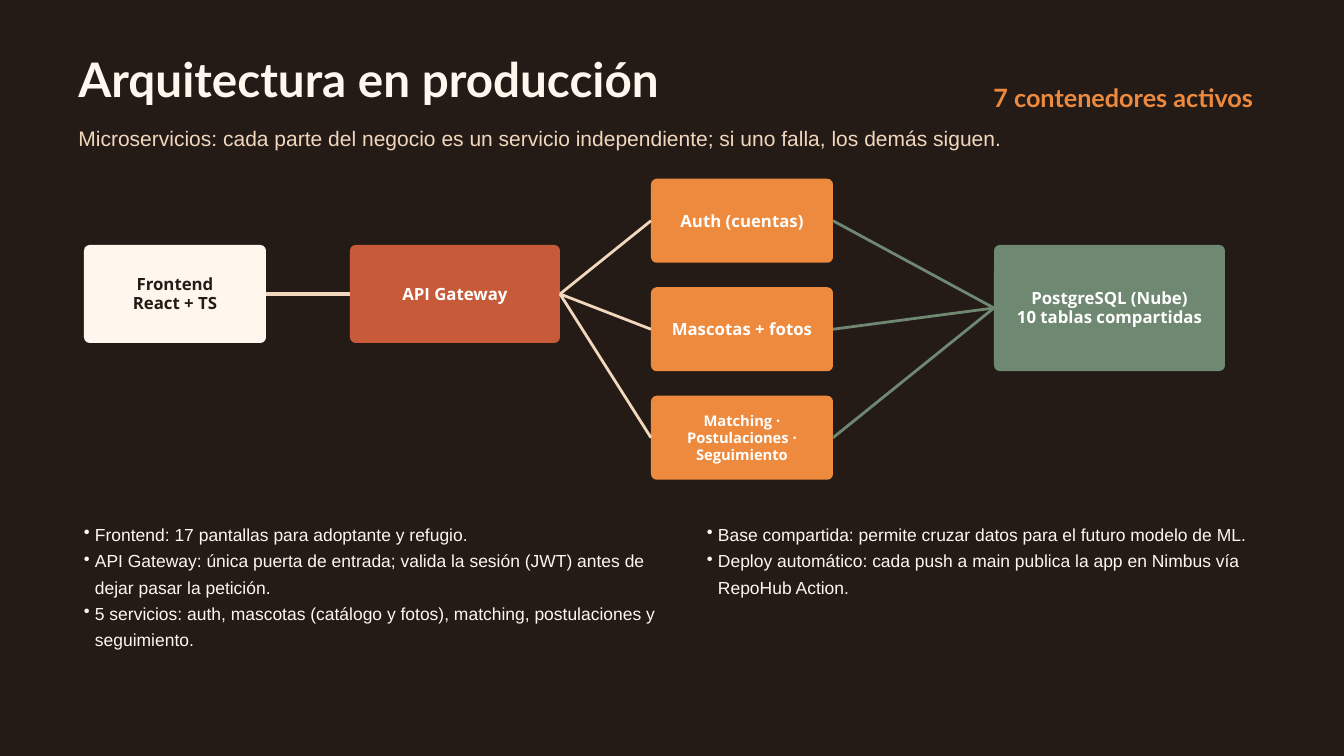
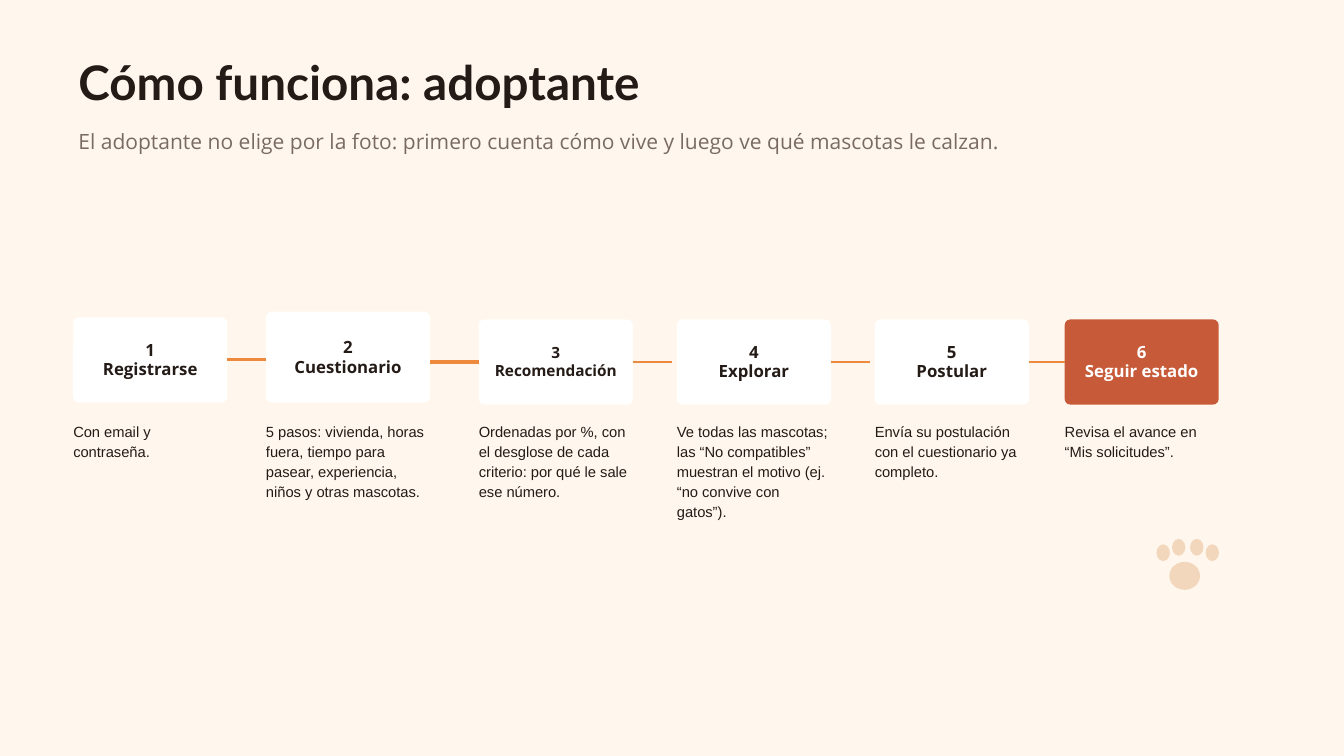
from dataclasses import dataclass

from lxml import etree
from pptx import Presentation
from pptx.dml.color import RGBColor
from pptx.enum import shapes, text
from pptx.oxml import ns
from pptx.util import Pt

ESPRESSO = RGBColor(0x24, 0x1B, 0x17)
CREAM = RGBColor(0xFF, 0xF7, 0xED)
WHITE = RGBColor(0xFF, 0xFF, 0xFF)
ORANGE = RGBColor(0xED, 0x8A, 0x3D)
TERRACOTTA = RGBColor(0xC7, 0x5B, 0x39)
SAGE = RGBColor(0x6F, 0x88, 0x71)
SAND = RGBColor(0xF2, 0xD7, 0xBD)
TAUPE = RGBColor(0x79, 0x6B, 0x63)

HEADING, LABEL, BODY = "Lato", "Open Sans", "Arial"
MARGIN = 84
CORNER = 6
BULLET_INDENT = 11.75


@dataclass(frozen=True)
class Style:
    font: str
    size: float
    color: RGBColor
    leading: float
    bold: bool = False
    align: text.PP_ALIGN = text.PP_ALIGN.LEFT


@dataclass(frozen=True)
class Area:
    left: float
    top: float
    width: float
    height: float

    def points(self):
        return Pt(self.left), Pt(self.top), Pt(self.width), Pt(self.height)


@dataclass(frozen=True)
class Box:
    label: str
    area: Area
    fill: RGBColor
    color: RGBColor = WHITE
    size: float = 18


@dataclass(frozen=True)
class Step:
    name: str
    detail: str
    area: Area
    fill: RGBColor = WHITE
    color: RGBColor = ESPRESSO
    size: float = 18


def add_slide(presentation, background: RGBColor):
    slide = presentation.slides.add_slide(presentation.slide_layouts[6])
    slide.background.fill.solid()
    slide.background.fill.fore_color.rgb = background
    return slide


def add_bullet(paragraph) -> None:
    properties = paragraph._p.get_or_add_pPr()
    properties.set("marL", str(Pt(BULLET_INDENT)))
    properties.set("indent", str(-Pt(BULLET_INDENT)))
    etree.SubElement(properties, ns.qn("a:buChar"), char="•")


def write(frame, content: str, style: Style, inset: float = 0, bullets: bool = False) -> None:
    """Fill a text frame, one paragraph for each line of the content."""
    frame.word_wrap = True
    frame.margin_left = frame.margin_right = Pt(inset)
    frame.margin_top = frame.margin_bottom = Pt(inset)
    frame.text = content
    for paragraph in frame.paragraphs:
        if bullets:
            add_bullet(paragraph)
        paragraph.alignment = style.align
        paragraph.line_spacing = Pt(style.leading)
        for run in paragraph.runs:
            run.font.name = style.font
            run.font.size = Pt(style.size)
            run.font.bold = style.bold
            run.font.color.rgb = style.color


def add_text(slide, area: Area, content: str, style: Style, bullets: bool = False) -> None:
    write(slide.shapes.add_textbox(*area.points()).text_frame, content, style, bullets=bullets)


def add_header(slide, top: float, title: str, title_color: RGBColor, subtitle: str,
               subtitle_font: str, subtitle_color: RGBColor) -> None:
    add_text(slide, Area(MARGIN, top, 975, 55.5), title,
             Style(HEADING, 51, title_color, 52.5, bold=True))
    add_text(slide, Area(MARGIN, top + 69, 1125, 30), subtitle,
             Style(subtitle_font, 22.5, subtitle_color, 30.4))


def add_filled(slide, kind: shapes.MSO_SHAPE, area: Area, fill: RGBColor):
    shape = slide.shapes.add_shape(kind, *area.points())
    shape.shadow.inherit = False
    shape.fill.solid()
    shape.fill.fore_color.rgb = fill
    shape.line.fill.background()
    return shape


def add_box(slide, box: Box):
    shape = add_filled(slide, shapes.MSO_SHAPE.ROUNDED_RECTANGLE, box.area, box.fill)
    shape.adjustments[0] = CORNER / box.area.height
    shape.text_frame.vertical_anchor = text.MSO_ANCHOR.MIDDLE
    write(shape.text_frame, box.label,
          Style(LABEL, box.size, box.color, round(box.size * 1.15, 1), True,
                text.PP_ALIGN.CENTER), inset=4.5)
    return shape


def add_link(slide, color: RGBColor, width: float, start, end):
    """Draw a line; each end is a shape (right side to left side) or an (x, y) in EMU."""
    ends = [(0, 0) if hasattr(item, "shape_id") else item for item in (start, end)]
    connector = slide.shapes.add_connector(shapes.MSO_CONNECTOR.STRAIGHT, *ends[0], *ends[1])
    if hasattr(start, "shape_id"):
        connector.begin_connect(start, 3)
    if hasattr(end, "shape_id"):
        connector.end_connect(end, 1)
    connector.line.color.rgb = color
    connector.line.width = Pt(width)
    etree.SubElement(connector._element.spPr, ns.qn("a:effectLst"))


def build_architecture(presentation) -> None:
    slide = add_slide(presentation, ESPRESSO)
    add_header(slide, 62, "Arquitectura en producción", CREAM,
               "Microservicios: cada parte del negocio es un servicio independiente; "
               "si uno falla, los demás siguen.", BODY, SAND)
    add_text(slide, Area(1005, 83, 337.5, 36), "7 contenedores activos",
             Style(HEADING, 27, ORANGE, 37.8, True, text.PP_ALIGN.RIGHT))

    frontend = add_box(slide, Box("Frontend\nReact + TS", Area(90, 262.5, 195, 105),
                                  CREAM, ESPRESSO))
    gateway = add_box(slide, Box("API Gateway", Area(375, 262.5, 225, 105), TERRACOTTA))
    database = add_box(slide, Box("PostgreSQL (Nube)\n10 tablas compartidas",
                                  Area(1065, 262.5, 247.5, 135), SAGE))
    add_link(slide, SAND, 3.75, frontend, gateway)

    services = [("Auth (cuentas)", 18), ("Mascotas + fotos", 18),
                ("Matching · Postulaciones · Seguimiento", 15.75)]
    for row, (label, size) in enumerate(services):
        area = Area(697.5, 191.5 + row * 116.25, 195, 90)
        service = add_box(slide, Box(label, area, ORANGE, size=size))
        add_link(slide, SAND, 3, gateway, service)
        add_link(slide, SAGE, 3, service, database)

    notes = Style(BODY, 18.75, CREAM, 28.1)
    add_text(slide, Area(90, 556, 615, 140),
             "Frontend: 17 pantallas para adoptante y refugio.\n"
             "API Gateway: única puerta de entrada; valida la sesión (JWT) antes de "
             "dejar pasar la petición.\n"
             "5 servicios: auth, mascotas (catálogo y fotos), matching, postulaciones "
             "y seguimiento.", notes, bullets=True)
    add_text(slide, Area(757.5, 556, 585, 84),
             "Base compartida: permite cruzar datos para el futuro modelo de ML.\n"
             "Deploy automático: cada push a main publica la app en Nimbus vía "
             "RepoHub Action.", notes, bullets=True)


def add_paw(slide) -> None:
    toe_width, toe_height = 14.4, 18
    add_filled(slide, shapes.MSO_SHAPE.OVAL, Area(1252.8, 602, 33, 30), SAND)
    for offset, top in [(-26.3, 583.2), (-9.7, 577.4), (9.7, 577.4), (26.3, 583.2)]:
        area = Area(1272.6 + offset - toe_width / 2, top, toe_width, toe_height)
        add_filled(slide, shapes.MSO_SHAPE.OVAL, area, SAND)


STEPS = [
    Step("Registrarse", "Con email y contraseña.", Area(78.5, 340, 165, 91.25)),
    Step("Cuestionario", "5 pasos: vivienda, horas fuera, tiempo para pasear, experiencia, "
         "niños y otras mascotas.", Area(285, 334, 175.75, 97.25)),
    Step("Recomendación", "Ordenadas por %, con el desglose de cada criterio: por qué le "
         "sale ese número.", Area(513, 342.25, 165, 91.25), size=16.5),
    Step("Explorar", "Ve todas las mascotas; las “No compatibles” muestran el motivo "
         "(ej. “no convive con gatos”).", Area(725.25, 342.25, 165, 91.25)),
    Step("Postular", "Envía su postulación con el cuestionario ya completo.",
         Area(937.25, 342.25, 165, 91.25)),
    Step("Seguir estado", "Revisa el avance en “Mis solicitudes”.",
         Area(1140.75, 342.25, 165, 91.25), TERRACOTTA, WHITE),
]


def build_adopter_flow(presentation) -> None:
    slide = add_slide(presentation, CREAM)
    add_header(slide, 65, "Cómo funciona: adoptante", ESPRESSO,
               "El adoptante no elige por la foto: primero cuenta cómo vive y luego ve "
               "qué mascotas le calzan.", LABEL, TAUPE)

    cards = []
    for number, step in enumerate(STEPS, 1):
        cards.append(add_box(slide, Box(f"{number}\n{step.name}", step.area, step.fill,
                                        step.color, step.size)))
        add_text(slide, Area(step.area.left, 450.75, step.area.width, 106), step.detail,
                 Style(BODY, 15.75, ESPRESSO, 21.3))

    register, survey, recommend, explore, apply, follow = cards
    for card in (register, recommend, explore):
        stub_end = (card.left + card.width + Pt(41.5), card.top + card.height // 2)
        add_link(slide, ORANGE, 3, card, stub_end)
    survey_exit = (survey.left + survey.width, recommend.top + recommend.height // 2)
    add_link(slide, ORANGE, 3.75, survey_exit, recommend)
    add_link(slide, ORANGE, 3, apply, follow)
    add_paw(slide)


def main() -> None:
    presentation = Presentation()
    presentation.slide_width, presentation.slide_height = Pt(1440), Pt(810)
    build_architecture(presentation)
    build_adopter_flow(presentation)
    presentation.save("out.pptx")


if __name__ == "__main__":
    main()
